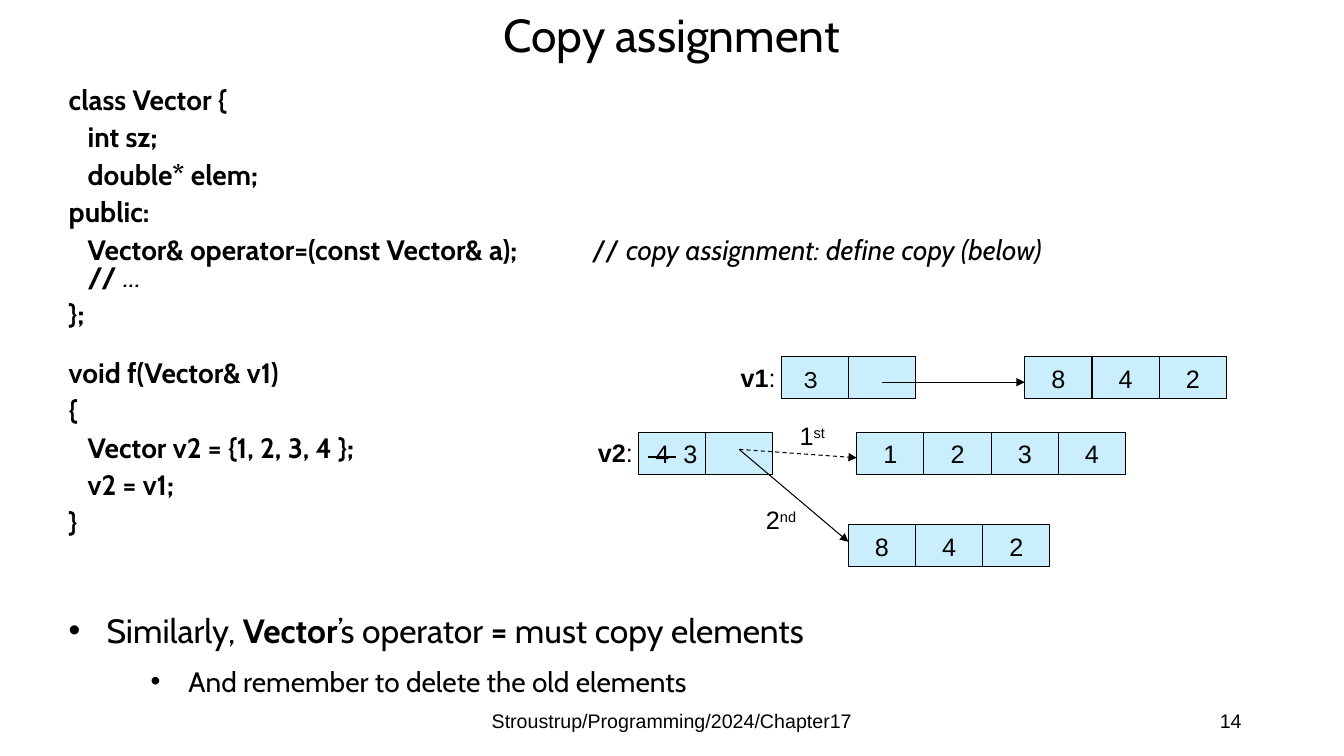
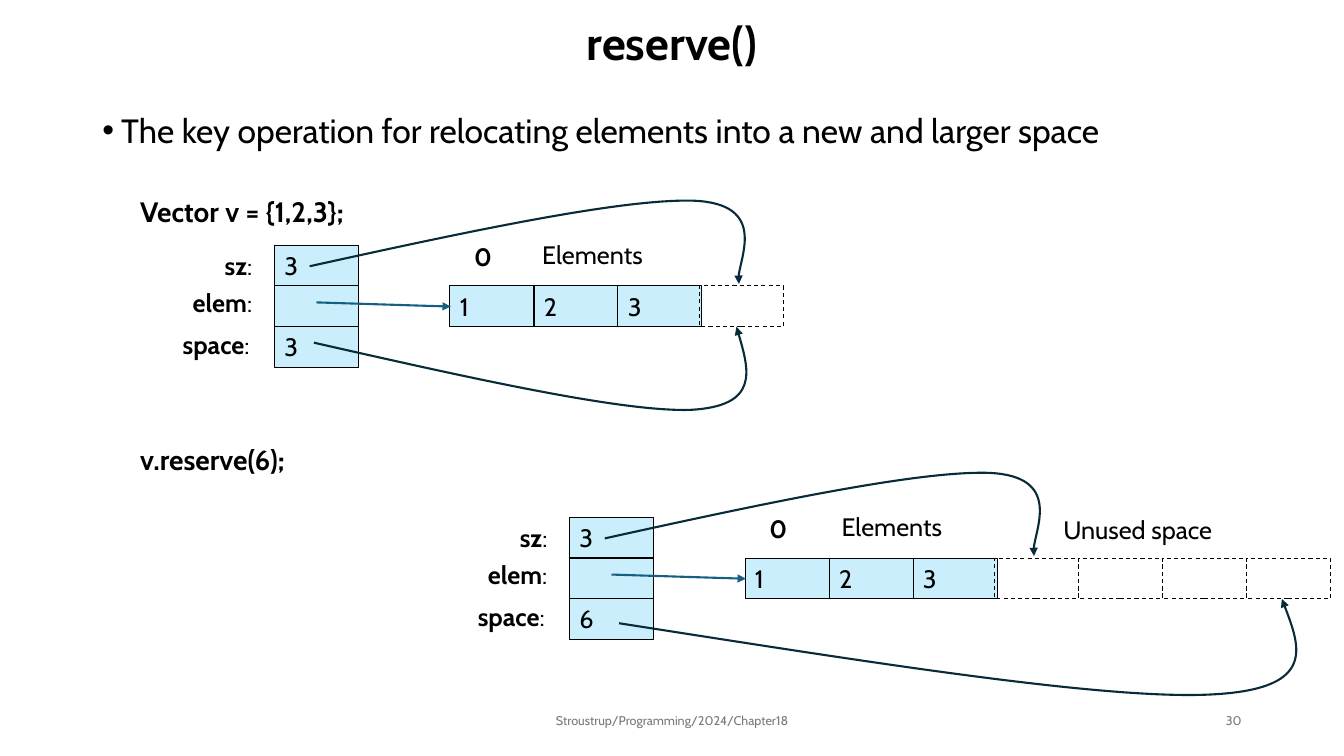
from lxml.etree import SubElement
from pptx import Presentation
from pptx.dml.color import RGBColor
from pptx.enum.dml import MSO_LINE
from pptx.enum.shapes import MSO_CONNECTOR, MSO_SHAPE
from pptx.enum.text import MSO_ANCHOR, PP_ALIGN
from pptx.oxml.ns import qn
from pptx.util import Emu, Pt

BLACK = RGBColor(0x00, 0x00, 0x00)
GREY = RGBColor(0x79, 0x79, 0x79)
PALE = RGBColor(0xCA, 0xEE, 0xFB)
BLUE = RGBColor(0x15, 0x60, 0x82)
NAVY = RGBColor(0x09, 0x2A, 0x39)

LEFT, CENTER, RIGHT = PP_ALIGN.LEFT, PP_ALIGN.CENTER, PP_ALIGN.RIGHT
TOP, MIDDLE = MSO_ANCHOR.TOP, MSO_ANCHOR.MIDDLE
CABIN, ARIAL = "Cabin", "Arial"

prs = Presentation()
COLS, ROWS = 160, 90  # grid of twelfths of an inch
GRID = 76200
prs.slide_width, prs.slide_height = Emu(COLS * GRID), Emu(ROWS * GRID)


def write(tf, text, size=18, font=ARIAL, color=BLACK, align=LEFT, spacing=None,
          before=0, margin=0, hang=0, bullet=None):
    """Add a paragraph; text is a string or (string, flags) runs.

    Flags: b bold, i italic, s struck out, ^ superscript.
    """
    p = tf.paragraphs[0] if not tf.paragraphs[0].runs else tf.add_paragraph()
    p.alignment, p.space_before = align, Pt(before)
    if spacing:
        p.line_spacing = spacing
    pPr = p._p.get_or_add_pPr()
    pPr.set("marL", str(round(margin * GRID)))
    pPr.set("indent", str(round(-hang * GRID)))
    pPr.set("defTabSz", str(12 * GRID))
    if bullet:
        SubElement(pPr, qn("a:buFont"), typeface="Arial")
        SubElement(pPr, qn("a:buChar"), char=bullet)
    for part, flags in [(text, "")] if isinstance(text, str) else text:
        r = p.add_run()
        r.text = part
        r.font.name, r.font.size = font, Pt(size)
        r.font.bold, r.font.italic = "b" in flags, "i" in flags
        r.font.color.rgb = color
        if "s" in flags:
            r._r.get_or_add_rPr().set("strike", "sngStrike")
        if "^" in flags:
            r._r.get_or_add_rPr().set("baseline", "30000")


def box(s, x, y, w, h, text=None, frame=False, fill=None, dash=False, anchor=TOP,
        wrap=True, **fmt):
    """Place a text box, or a framed cell, in grid units."""
    at = [Emu(round(v * GRID)) for v in (x, y, w, h)]
    if frame:
        sp = s.shapes.add_shape(MSO_SHAPE.RECTANGLE, *at)
        sp.shadow.inherit = False
        sp.line.color.rgb, sp.line.width = BLACK, Pt(0.75)
        if dash:
            sp.line.dash_style = MSO_LINE.DASH
        if fill is None:
            sp.fill.background()
        else:
            sp.fill.solid()
            sp.fill.fore_color.rgb = fill
    else:
        sp = s.shapes.add_textbox(*at)
    tf = sp.text_frame
    tf.word_wrap, tf.vertical_anchor = wrap, anchor
    if text:
        write(tf, text, **fmt)
    return tf


# Titles and footers
slides = []
for title, flags, y, h, chapter, number, look in [
    ("Copy assignment", "", -3, 15, 17, 14, dict(size=14, font=ARIAL)),
    ("reserve()", "b", 1.8, 7.2, 18, 30, dict(size=9, font=CABIN, color=GREY)),
]:
    s = prs.slides.add_slide(prs.slide_layouts[6])
    slides.append(s)
    box(s, 11, y, 138, h, [(title, flags)], anchor=MIDDLE, size=33, font=CABIN,
        align=CENTER, spacing=0.9)
    box(s, 53, 83.4, 54, 4.8, f"Stroustrup/Programming/2024/Chapter{chapter}",
        anchor=MIDDLE, align=CENTER, **look)
    box(s, 113, 83.4, 36, 4.8, str(number), anchor=MIDDLE, align=RIGHT, **look)
copying, reserving = slides
strokes = []  # slide, points, colour, width, dashed

# Copy assignment: code as (indent, space before, runs)
s = copying
tf = box(s, 7, 10, 130, 35 + 20)
for indent, before, runs in [
    (0, 7.5, [("class Vector {", "b")]),
    (1, 7.5, [("int sz;", "b")]),
    (1, 7.5, [("double* elem;", "b")]),
    (0, 7.5, [("public:", "b")]),
    (1, 7.5, [("Vector& operator=(const Vector& a);", "b"), ("\t// ", ""),
              ("copy assignment: define copy (below)", "i")]),
    (1, 0, [("// ", "b"), ("…", "i")]),
    (0, 7.5, [("};", "b")]),
    (0, 22.8, [("void f(Vector& v1)", "b")]),
    (0, 7.5, [("{", "b")]),
    (1, 7.5, [("Vector v2 = {1, 2, 3, 4 };", "b")]),
    (1, 7.5, [("v2 = v1;", "b")]),
    (0, 7.5, [("}", "b")]),
]:
    write(tf, runs, size=20, font=CABIN, spacing=0.8, before=before,
          margin=2.25 * indent)

# Element rows and vector headers
CELL_W, CELL_H = 8, 5
for x, y, values in [(122, 42.5, "842"), (102, 51.5, "1234"), (101, 62.5, "842")]:
    for i, value in enumerate(values):
        box(s, x + i * CELL_W, y, CELL_W, CELL_H, value, frame=True, fill=PALE,
            anchor=MIDDLE, wrap=False, align=CENTER)
for x, y, runs, font, margin in [
    (93, 42.5, "3", "Karla", 1.45),
    (76, 51.5, [(" 4 ", "s"), (" 3", "")], ARIAL, 0),
]:
    box(s, x, y, CELL_W, CELL_H, runs, frame=True, fill=PALE, anchor=MIDDLE,
        wrap=False, font=font, margin=margin)
    box(s, x + CELL_W, y, CELL_W, CELL_H, frame=True, fill=PALE)

# Labels and arrows
for x, y, runs in [
    (87, 42.5, [("v1", "b"), (":", "")]),
    (70, 51.5, [("v2", "b"), (":", "")]),
    (94, 49.5, [("1", ""), ("st", "^")]),
    (90, 59.5, [("2", ""), ("nd", "^")]),
]:
    box(s, x, y, 9, 4.8, runs)
strokes += [
    (s, [(105, 45.5), (122, 45.5)], BLACK, 0.75, False),
    (s, [(88, 53.5), (102, 54.5)], BLACK, 0.75, True),
    (s, [(88, 53.5), (101, 64.5)], BLACK, 0.75, False),
]

# Closing points
tf = box(s, 7, 72, 110, 12)
write(tf, [("Similarly, ", ""), ("Vector", "b"), ("’s operator ", ""), ("=", "b"),
           (" must copy elements", "")],
      size=24, font=CABIN, margin=4.5, hang=4.5, bullet="•")
write(tf, "And remember to delete the old elements", size=20, font=CABIN, before=10,
      margin=14.25, hang=4.5, bullet="•")

# reserve(): body text
s = reserving
tf = box(s, 11, 13, 125, 68)
write(tf, "The key operation for relocating elements into a new and larger space",
      size=24, font=CABIN, spacing=0.9, before=7.5, margin=2.25, hang=2.25, bullet="•")
for code, before in [("Vector v = {1,2,3};", 34), ("v.reserve(6);", 156)]:
    write(tf, [(code, "b")], size=20, font=CABIN, spacing=0.9, before=before, margin=4.5)

# Vector layout before and after, measured from the top left of its header
CELL_W, CELL_H = 10, 4.84
SIZE_CURVE = [(4.2, 2.5), (22.8, -1.6), (41.5, -5.6), (50, -5.3),
              (58.6, -4.9), (54.7, 3.2), (55.3, 4.6)]
for left, top, space, spare, caption, space_curve in [
    (32.67, 29.2, "3", 1, 30.7, [(4.7, 11.6), (22.8, 15.7), (41, 19.8), (49.4, 19.6),
                                 (57.8, 19.2), (56.4, 14.4), (55, 9.7)]),
    (67.8, 61.6, "6", 4, 31.2, [(5.9, 12.6), (34.2, 17), (62.6, 21.6), (75.8, 21.1),
                                (89, 20.6), (86.9, 15.1), (84.8, 9.7)]),
]:
    for row, value in enumerate(["3", None, space]):
        box(s, left, top + row * CELL_H, CELL_W, CELL_H, value, frame=True,
            fill=PALE, font=CABIN)
    for col, value in enumerate("123"):
        box(s, left + 20.9 + col * CELL_W, top + CELL_H, CELL_W, CELL_H, value,
            frame=True, fill=PALE, font=CABIN)
    for col in range(spare):
        box(s, left + 50.6 + col * CELL_W, top + CELL_H, CELL_W, CELL_H,
            frame=True, dash=True)
    for x, y, w, name in [(-7.1, 0, 8, "sz"), (-10.9, 4.4, 12, "elem"),
                          (-12.1, 9.4, 13, "space")]:
        box(s, left + x, top + y, w, CELL_H, [(name, "b"), (":", "")], font=CABIN)
    box(s, left + 22.6, top - 1.1, 8, CELL_H, [("0", "b")], font=CABIN)
    box(s, left + caption, top - 1.3, 15, CELL_H, "Elements", font=CABIN)
    strokes.append((s, [(left + 5, top + 6.8), (left + 21, top + 7.3)], BLUE, 1.5, False))
    for curve in (SIZE_CURVE, space_curve):
        strokes.append((s, [(left + x, top + y) for x, y in curve], NAVY, 1.5, False))
box(s, 125.4, 60.7, 22, CELL_H, "Unused space", font=CABIN)

# Arrows: two points make a straight line, seven make two Bezier curves
for s, points, color, width, dashed in strokes:
    pts = [(round(x * GRID), round(y * GRID)) for x, y in points]
    if len(pts) == 2:
        sp = s.shapes.add_connector(MSO_CONNECTOR.STRAIGHT, *pts[0], *pts[1])
    else:
        builder = s.shapes.build_freeform(*pts[0])
        builder.add_line_segments([pts[3], pts[6]], close=False)
        sp = builder.convert_to_shape()
        sp.fill.background()
        # Bend each straight segment with its two control points
        for k, segment in zip((1, 4), list(sp._element.iter(qn("a:lnTo")))):
            segment.tag = qn("a:cubicBezTo")
            for i, (x, y) in enumerate(pts[k:k + 2]):
                pt = SubElement(segment, qn("a:pt"), x=str(x - sp.left), y=str(y - sp.top))
                segment.insert(i, pt)
    sp.line.color.rgb, sp.line.width = color, Pt(width)
    if dashed:
        sp.line.dash_style = MSO_LINE.DASH
    SubElement(sp.line._get_or_add_ln(), qn("a:tailEnd"), type="triangle")
    SubElement(sp._element.spPr, qn("a:effectLst"))

prs.save("out.pptx")
